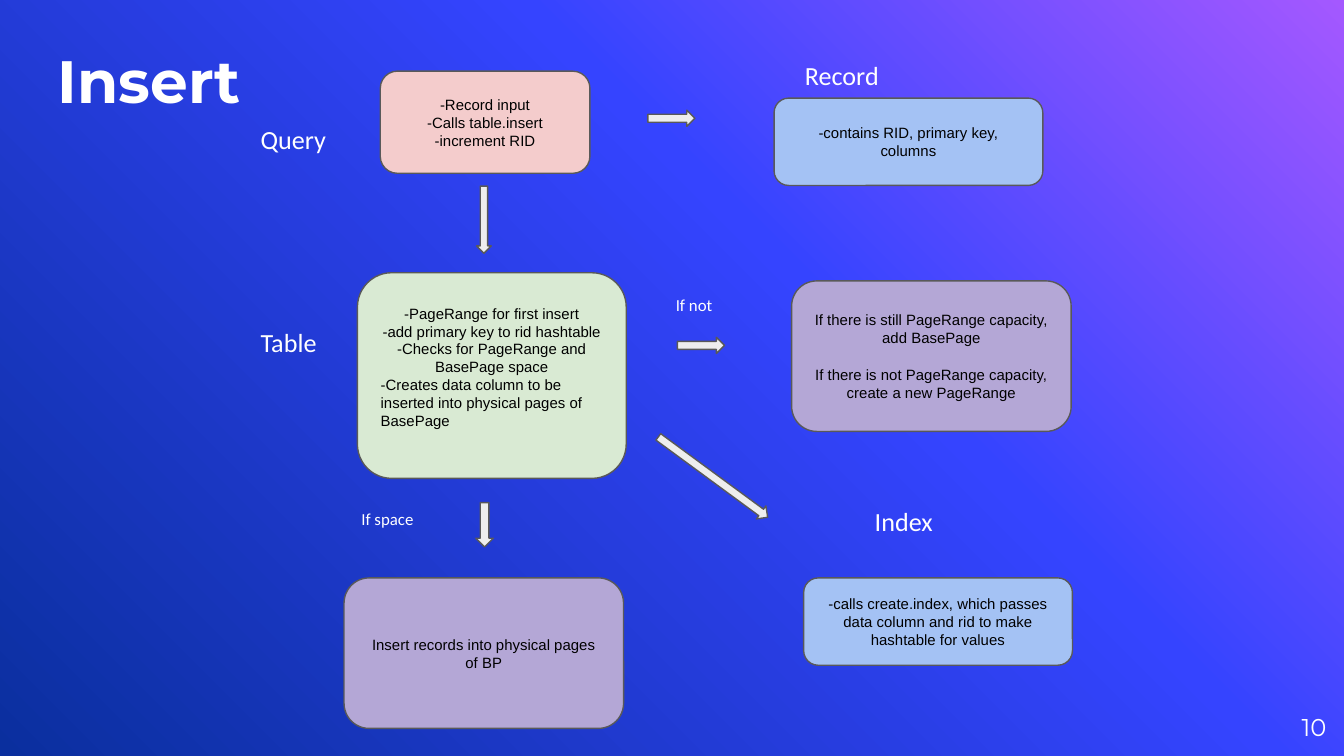
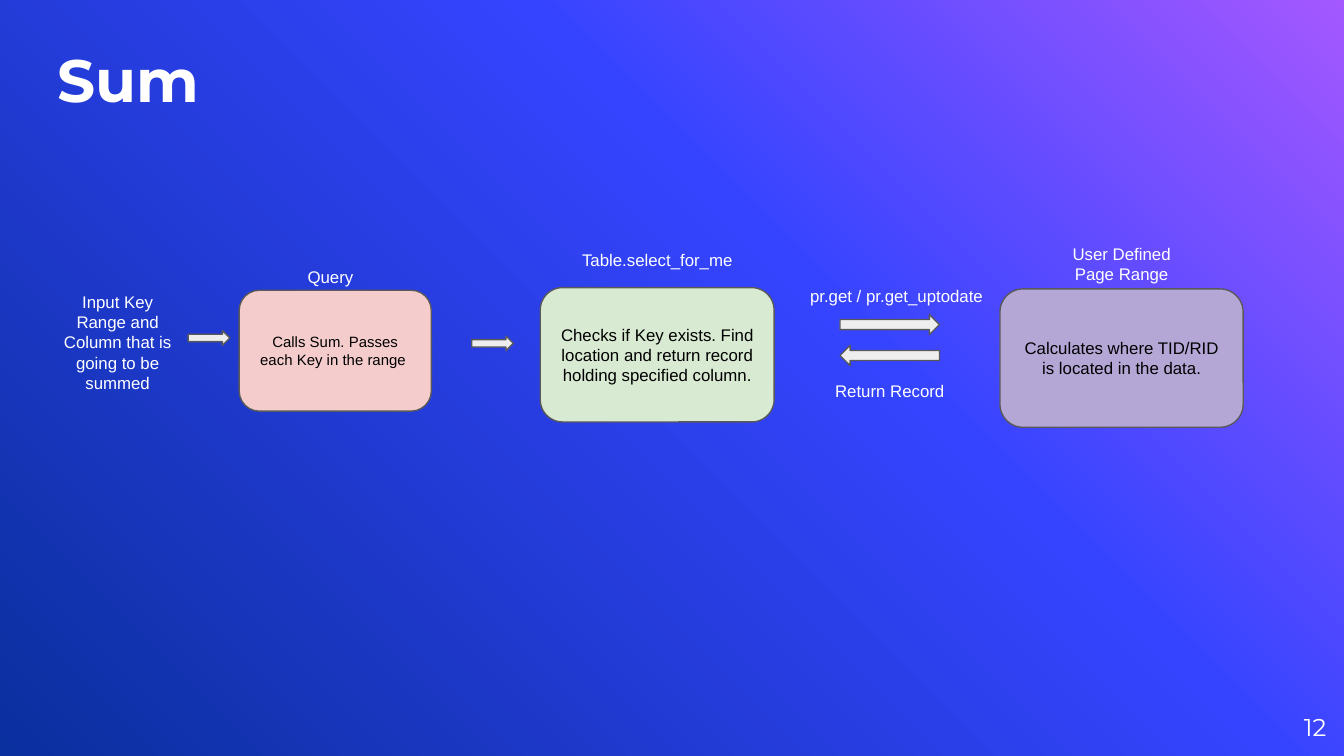
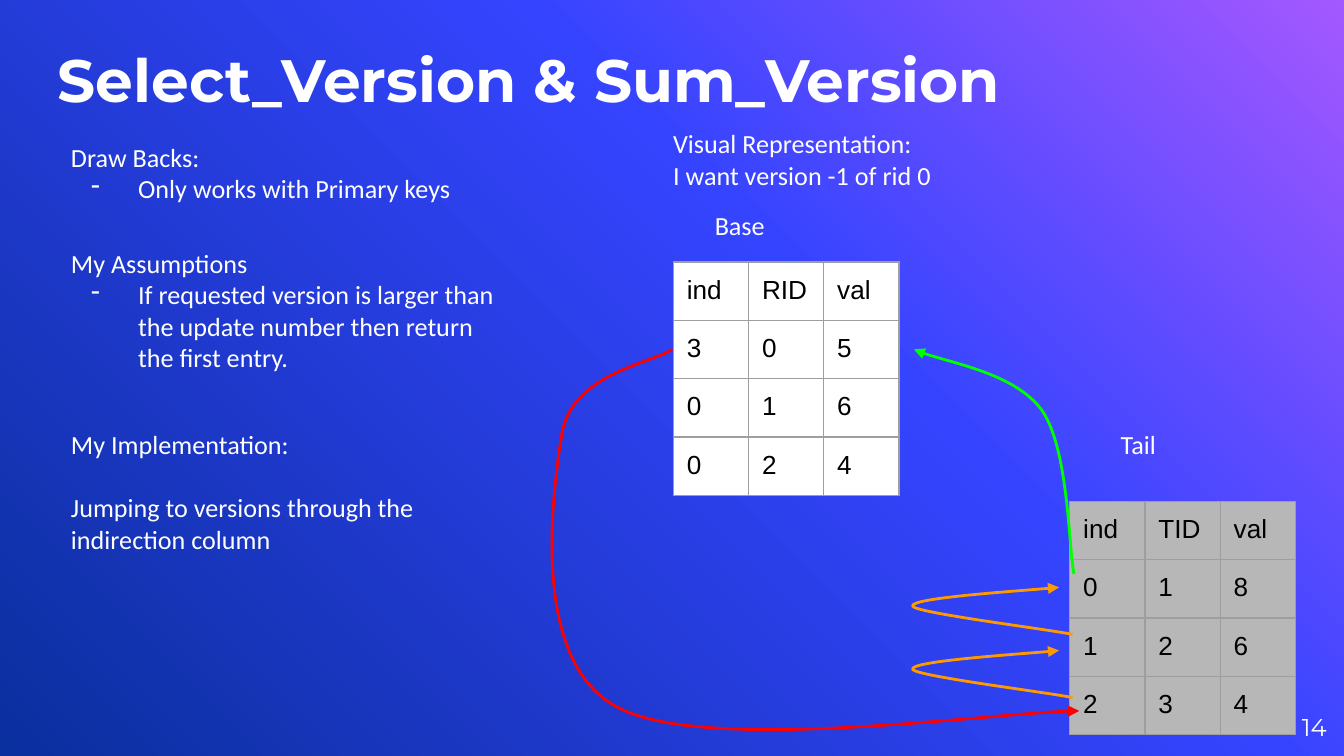
from copy import deepcopy
from lxml import etree
from pptx import Presentation
from pptx.dml.color import RGBColor
from pptx.enum.shapes import MSO_SHAPE
from pptx.enum.text import MSO_ANCHOR, MSO_AUTO_SIZE, PP_ALIGN
from pptx.oxml.ns import qn
from pptx.util import Inches, Pt

ROUND, ARROW = MSO_SHAPE.ROUNDED_RECTANGLE, MSO_SHAPE.RIGHT_ARROW
LEFT, CENTER, RIGHT = PP_ALIGN.LEFT, PP_ALIGN.CENTER, PP_ALIGN.RIGHT
MIDDLE, BOTTOM = MSO_ANCHOR.MIDDLE, MSO_ANCHOR.BOTTOM
GROW, FIXED = MSO_AUTO_SIZE.SHAPE_TO_FIT_TEXT, MSO_AUTO_SIZE.NONE

HEX = {
    "white": "FFFFFF", "black": "000000", "edge": "595959", "arrow": "EEEEEE",
    "pink": "F4CCCC", "green": "D9EAD3", "purple": "B4A7D6", "blue": "A4C2F4",
    "gray": "B7B7B7", "grid": "9E9E9E",
    "red": "FF0000", "orange": "FF9900", "lime": "00FF00",
}
GRADE = [(0, "A458FF"), (0.39, "3544FF"), (1, "0A2F9E")]
HEAD, BODY, PLAIN = "Montserrat", "Calibri", "Arial"

# Content. A line that starts with "- " is a bullet, with "\n" has a gap above.
# Boxes: left, top, width, height, fill, size, lines
# Labels: left, top, width, height, size, font, alignment, lines
# Arrows: left, top, width, height, rotation
INSERT = {
    "title": "Insert", "top": 0.34, "width": 6.58, "page": "10",
    "boxes": [
        (2.83, 0.53, 1.56, 0.76, "pink", 8,
         ["-Record input", "-Calls table.insert", "-increment RID"]),
        (5.89, 2.09, 2.08, 1.12, "purple", 8,
         ["If there is still PageRange capacity, add BasePage",
          "\nIf there is not PageRange capacity, create a new PageRange"]),
        (2.56, 4.3, 2.08, 1.12, "purple", 8,
         ["Insert records into physical pages of BP"]),
        (5.98, 4.3, 2, 0.65, "blue", 8,
         ["-calls create.index, which passes data column and rid to make "
          "hashtable for values"]),
        (5.76, 0.73, 2, 0.65, "blue", 8,
         ["-contains RID, primary key, columns"]),
    ],
    "labels": [
        (1.84, 0.82, 0.88, 0.44, 14, BODY, LEFT, ["Query "]),
        (1.84, 2.33, 0.88, 0.44, 14, BODY, LEFT, ["Table"]),
        (6.41, 3.66, 0.88, 0.44, 14, BODY, LEFT, ["Index"]),
        (5.89, 0.34, 1, 0.44, 14, BODY, LEFT, ["Record"]),
        (2.59, 3.71, 0.88, 0.35, 9, BODY, LEFT, ["If space"]),
        (4.93, 2.12, 0.88, 0.35, 9, BODY, LEFT, ["If not"]),
    ],
    "arrows": [
        (3.35, 1.58, 0.5, 0.11, 90), (3.44, 3.84, 0.33, 0.13, 90),
        (5.04, 2.51, 0.35, 0.12, 0), (4.8, 3.49, 1.01, 0.12, 36.3),
        (4.82, 0.82, 0.35, 0.12, 0),
    ],
}
STEPS = (2.66, 2.03, 2, 1.53, "green", 8, [
    "-PageRange for first insert", "-add primary key to rid hashtable",
    "-Checks for PageRange and BasePage space",
    "-Creates data column to be inserted into physical pages of BasePage"])

SUM = {
    "title": "Sum", "top": 0.33, "width": 6.58, "page": "12",
    "boxes": [
        (1.78, 2.16, 1.43, 0.9, "pink", 8,
         ["Calls Sum. Passes each Key in the range "]),
        (4.02, 2.14, 1.74, 1, "green", 9,
         ["Checks if Key exists. Find location and return record holding "
          "specified column."]),
        (7.44, 2.15, 1.81, 1.03, "purple", 9,
         ["Calculates where TID/RID is located in the data."]),
    ],
    "labels": [
        (2.19, 1.91, 0.61, 0.35, 9, PLAIN, LEFT, ["Query"]),
        (0.35, 2.07, 1.05, 0.96, 9, PLAIN, CENTER,
         ["Input Key Range and Column that is going to be summed"]),
        (3.58, 1.78, 2.62, 0.35, 9, PLAIN, CENTER, ["Table.select_for_me"]),
        (7.87, 1.71, 0.95, 0.5, 9, PLAIN, CENTER, ["User Defined Page Range"]),
        (5.38, 2.05, 2.58, 0.35, 9, PLAIN, CENTER,
         ["pr.get / pr.get_uptodate"]),
        (6.02, 2.76, 1.2, 0.35, 9, PLAIN, CENTER, ["Return Record"]),
    ],
    "arrows": [
        (1.4, 2.46, 0.31, 0.11, 0), (3.51, 2.5, 0.31, 0.11, 0),
        (6.25, 2.34, 0.74, 0.15, 0), (6.25, 2.57, 0.74, 0.15, 180),
    ],
}

VERSION = {
    "title": "Select_Version & Sum_Version",
    "top": 0.33, "width": 8.23, "page": "14",
    "boxes": [], "arrows": [],
    "labels": [
        (0.43, 0.95, 3.37, 0.67, 14, BODY, LEFT,
         ["Draw Backs:", "- Only works with Primary keys"]),
        (0.43, 1.74, 3.37, 1.14, 14, BODY, LEFT,
         ["My Assumptions", "- If requested version is larger than the update "
          "number then return the first entry. "]),
        (0.43, 3.09, 3.37, 1.14, 14, BODY, LEFT,
         ["My Implementation:",
          "\nJumping to versions through the indirection column"]),
        (4.91, 0.85, 3.37, 0.67, 14, BODY, LEFT,
         ["Visual Representation:", "I want version -1 of rid 0"]),
        (5.22, 1.46, 1.03, 0.44, 14, BODY, LEFT, ["Base"]),
        (8.24, 3.09, 1.03, 0.44, 14, BODY, LEFT, ["Tail"]),
    ],
}
TABLES = [
    (5.01, 1.95, "white", ["ind RID val", "3 0 5", "0 1 6", "0 2 4"]),
    (7.96, 3.73, "gray", ["ind TID val", "0 1 8", "1 2 6", "2 3 4"]),
]
# Curves: a start point, then two control points and an end for each part
LOOP = [(7.98, 4.72), (7.78, 4.68), (6.81, 4.56), (6.79, 4.51),
        (6.77, 4.45), (7.7, 4.39), (7.88, 4.37)]
CURVES = [
    ("red", [(5, 2.6), (4.86, 2.7), (4.25, 2.78), (4.18, 3.23),
             (4.11, 3.67), (3.94, 4.92), (4.59, 5.26),
             (5.23, 5.61), (7.46, 5.29), (8.03, 5.29)]),
    ("orange", [(x, y + 0.47) for x, y in LOOP]),
    ("orange", LOOP),
    ("lime", [(7.99, 4.27), (7.95, 4.06), (7.95, 3.33), (7.75, 3.05),
              (7.55, 2.78), (6.96, 2.68), (6.8, 2.6)]),
]


def rgb(name):
    return RGBColor.from_string(HEX[name])


def sub(node, tag, **attrs):
    return etree.SubElement(node, qn(tag), attrs)


def write(shape, lines, size, font, color, align, inset=0.1):
    frame = shape.text_frame
    frame.word_wrap = True
    frame.margin_left = frame.margin_right = Inches(inset)
    frame.margin_top = frame.margin_bottom = Inches(inset)
    for i, line in enumerate(lines):
        para = frame.add_paragraph() if i else frame.paragraphs[0]
        para.alignment = align
        para.font.size, para.font.name = Pt(size), font
        para.font.color.rgb = rgb(color)
        if line.startswith("\n"):
            para.space_before = Pt(round(size * 1.2))
        if line.startswith("- "):
            props = para._p.get_or_add_pPr()
            props.set("marL", str(Inches(0.5)))
            props.set("indent", str(-Inches(0.35)))
            mark = etree.Element(qn("a:buChar"), char="-")
            props.insert_element_before(mark, "a:tabLst", "a:defRPr")
            line = line[2:]
        para.add_run().text = line.lstrip("\n")
    return frame


def place(shape, x, y, w, h):
    shape.left, shape.top = Inches(x), Inches(y)
    shape.width, shape.height = Inches(w), Inches(h)


def label(slide, x, y, w, h, size, font, align, lines, inset=0.1):
    box = slide.shapes.add_textbox(*map(Inches, (x, y, w, h)))
    frame = write(box, lines, size, font, "white", align, inset)
    frame.auto_size = GROW if inset else FIXED
    return frame


def solid(slide, kind, x, y, w, h, fill):
    shape = slide.shapes.add_shape(kind, *map(Inches, (x, y, w, h)))
    shape.shadow.inherit = False
    shape.fill.solid()
    shape.fill.fore_color.rgb = rgb(fill)
    shape.line.color.rgb, shape.line.width = rgb("edge"), Pt(0.75)
    return shape


def card(slide, x, y, w, h, fill, size, lines):
    shape = solid(slide, ROUND, x, y, w, h, fill)
    frame = write(shape, lines, size, PLAIN, "black", CENTER)
    frame.vertical_anchor = MIDDLE
    return frame


def grid(slide, x, y, fill, rows):
    rows = [row.split() for row in rows]
    wide, high = 0.56, 0.43
    table = slide.shapes.add_table(
        len(rows), len(rows[0]), Inches(x), Inches(y),
        Inches(wide * len(rows[0])), Inches(high * len(rows))).table
    table.first_row = table.horz_banding = False
    for col in table.columns:
        col.width = Inches(wide)
    for r, row in enumerate(rows):
        table.rows[r].height = Inches(high)
        for c, word in enumerate(row):
            cell = table.cell(r, c)
            cell.margin_left = cell.margin_right = Inches(0.1)
            cell.margin_top = cell.margin_bottom = Inches(0.1)
            para = cell.text_frame.paragraphs[0]
            para.font.size, para.font.name = Pt(14), PLAIN
            para.font.color.rgb = rgb("black")
            para.add_run().text = word
            props = cell._tc.get_or_add_tcPr()
            for side in "LRTB":
                line = sub(props, "a:ln" + side, w=str(Pt(0.75)))
                sub(sub(line, "a:solidFill"), "a:srgbClr", val=HEX["grid"])
            cell.fill.solid()
            cell.fill.fore_color.rgb = rgb(fill)


def curve(slide, color, points):
    spots = [(Inches(x), Inches(y)) for x, y in points]
    pen = slide.shapes.build_freeform(*spots[0])
    pen.add_line_segments(spots[1:], close=False)
    shape = pen.convert_to_shape()
    shape.shadow.inherit = False
    shape.fill.background()
    shape.line.color.rgb, shape.line.width = rgb(color), Pt(1.5)
    sub(shape.line._get_or_add_ln(), "a:tailEnd", type="triangle")
    # Join each three straight parts into one Bezier part
    parts = list(shape._element.iter(qn("a:lnTo")))
    for i in range(0, len(parts), 3):
        bend = etree.Element(qn("a:cubicBezTo"))
        parts[i].addprevious(bend)
        for part in parts[i:i + 3]:
            bend.append(part[0])
            part.getparent().remove(part)


def page(deck, data):
    slide = deck.slides.add_slide(deck.slide_layouts[5])
    title = slide.shapes.title
    place(title, 0.43, data["top"], data["width"], 0.52)
    frame = write(title, [data["title"]], 32, HEAD, "white", LEFT, 0)
    frame.vertical_anchor, frame.auto_size = BOTTOM, FIXED
    frame.paragraphs[0].font.bold = True
    number = label(slide, 9.27, 5.19, 0.6, 0.43, 13, HEAD, RIGHT,
                   [data["page"]], 0)
    number.vertical_anchor = MIDDLE
    for box in data["boxes"]:
        card(slide, *box)
    for *spot, turn in data["arrows"]:
        solid(slide, ARROW, *spot, "arrow").rotation = turn
    for text in data["labels"]:
        label(slide, *text)
    return slide


# Wide 16:9 slides
deck = Presentation()
deck.slide_width, deck.slide_height = Inches(10), Inches(10 * 9 / 16)

# Shared gradient background
master = deck.slide_master
back = master.background.fill
back.gradient()
back.gradient_angle = 225
stops = next(master.element.iter(qn("a:gsLst")))
stops.append(deepcopy(stops[0]))
for stop, (spot, shade) in zip(back.gradient_stops, GRADE):
    stop.position = spot
    stop.color.rgb = RGBColor.from_string(shade)

# Insert: the last step is left aligned and the text sits a little high
slide = page(deck, INSERT)
frame = card(slide, *STEPS)
frame.paragraphs[-1].alignment = LEFT
frame.margin_bottom = Inches(0.23)

page(deck, SUM)

# Versions: two tables joined by curved arrows
slide = page(deck, VERSION)
for table in TABLES:
    grid(slide, *table)
for color, points in CURVES:
    curve(slide, color, points)

deck.save("out.pptx")
